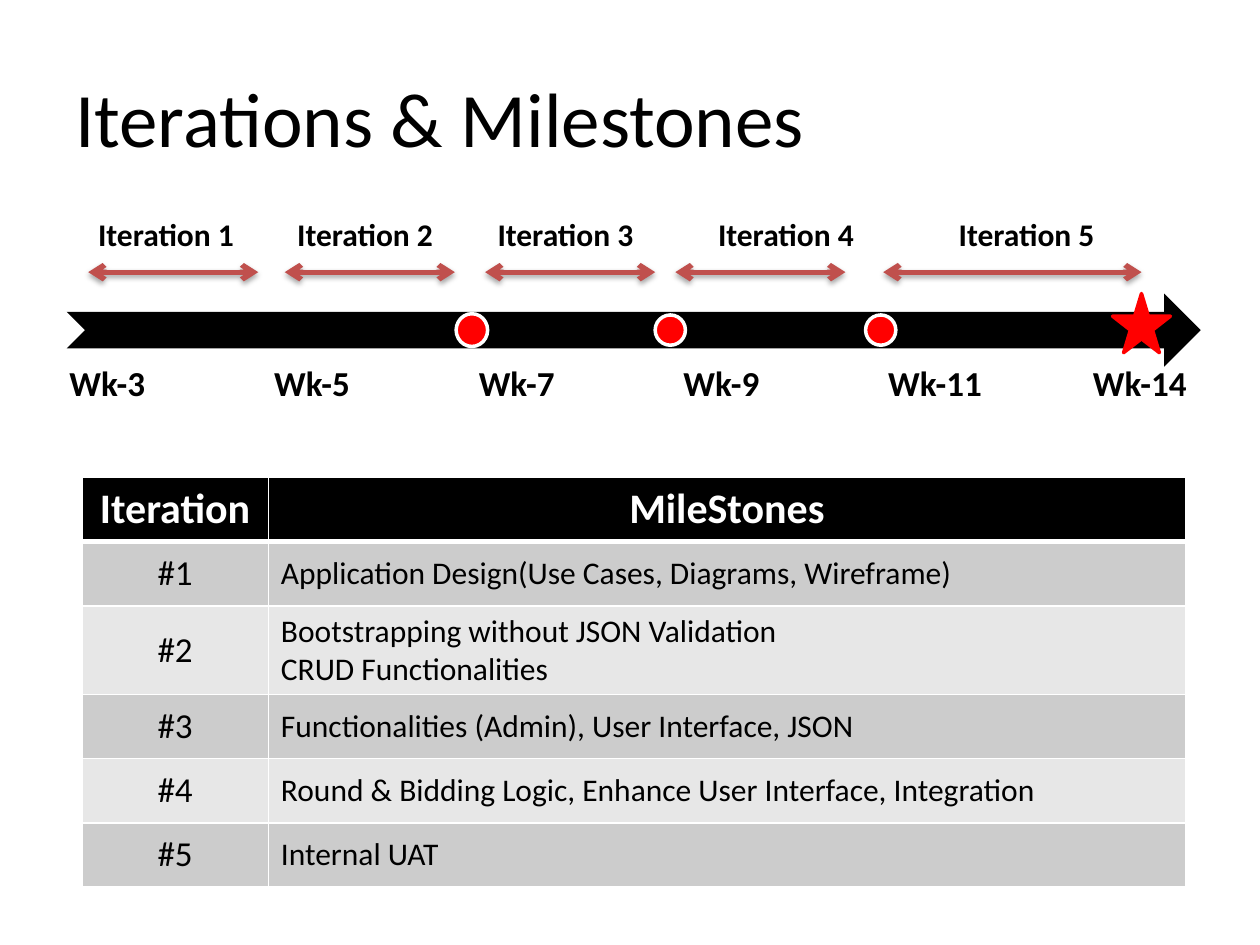
from lxml import etree
from pptx import Presentation
from pptx.dml.color import RGBColor
from pptx.enum.shapes import MSO_CONNECTOR, MSO_SHAPE
from pptx.enum.text import MSO_ANCHOR, MSO_AUTO_SIZE, PP_ALIGN
from pptx.oxml.ns import qn
from pptx.util import Inches, Pt

ARROW = MSO_SHAPE.NOTCHED_RIGHT_ARROW
OVAL = MSO_SHAPE.OVAL
STAR = MSO_SHAPE.STAR_5_POINT
LINE = MSO_CONNECTOR.STRAIGHT
MIDDLE, TOP = MSO_ANCHOR.MIDDLE, MSO_ANCHOR.TOP
LEFT, CENTER = PP_ALIGN.LEFT, PP_ALIGN.CENTER
GROW = MSO_AUTO_SIZE.SHAPE_TO_FIT_TEXT

BLACK = RGBColor(0x00, 0x00, 0x00)
WHITE = RGBColor(0xFF, 0xFF, 0xFF)
RED = RGBColor(0xFF, 0x00, 0x00)
BRICK = RGBColor(0xC0, 0x50, 0x4D)
BANDS = [RGBColor(0xCC, 0xCC, 0xCC), RGBColor(0xE7, 0xE7, 0xE7)]
FONT = "Calibri"

TITLE = "Iterations & Milestones"
SPANS = [
    ("Iteration 1", 0.68, 0.70, 1.35),
    ("Iteration 2", 2.26, 2.26, 1.35),
    ("Iteration 3", 3.85, 3.85, 1.35),
    ("Iteration 4", 5.60, 5.36, 1.35),
    ("Iteration 5", 7.51, 7.01, 2.05),
]
DOTS = [(3.62, 2.49, 0.25, 0.26), (5.2, 2.5, 0.24, 0.24), (6.87, 2.5, 0.24, 0.24)]
WEEKS = ["Wk-3", "Wk-5", "Wk-7", "Wk-9", "Wk-11", "Wk-14"]
HEADS = ["Iteration", "MileStones"]
GOALS = [
    ["Application Design(Use Cases, Diagrams, Wireframe)"],
    ["Bootstrapping without JSON Validation", "CRUD Functionalities"],
    ["Functionalities (Admin), User Interface, JSON"],
    ["Round & Bidding Logic, Enhance User Interface, Integration"],
    ["Internal UAT"],
]
ROW, TALL = 0.51, 0.66

deck = Presentation()
deck.slide_width, deck.slide_height = Inches(10), Inches(7.5)
slide = deck.slides.add_slide(deck.slide_layouts[6])
shapes = slide.shapes


def box(*sides):
    return [Inches(side) for side in sides]


def write(frame, lines, size, color=BLACK, bold=False, align=LEFT):
    for i, line in enumerate(lines):
        para = frame.paragraphs[0] if i == 0 else frame.add_paragraph()
        para.alignment = align
        run = para.add_run()
        run.text = line
        font = run.font
        font.name, font.size, font.bold = FONT, Pt(size), bold
        font.color.rgb = color


def draw(kind, place, fill, edge=None):
    shape = shapes.add_shape(kind, *box(*place))
    shape.shadow.inherit = False
    shape.fill.solid()
    shape.fill.fore_color.rgb = fill
    if edge is None:
        shape.line.fill.background()
    else:
        shape.line.color.rgb = edge
        shape.line.width = Pt(2)


def node(parent, tag, **attrs):
    return etree.SubElement(parent, qn(tag), attrs)


def span(left, width, top):
    line = shapes.add_connector(LINE, *box(left, top, left + width, top))
    line.line.color.rgb = BRICK
    line.line.width = Pt(3)
    ln = line.line._get_or_add_ln()
    node(ln, "a:headEnd", type="arrow")
    node(ln, "a:tailEnd", type="arrow")
    glow = node(line._element.spPr, "a:effectLst")
    shade = node(glow, "a:outerShdw", blurRad=str(Pt(3.1)), dist=str(Pt(1.8)),
                 dir="5400000", rotWithShape="0")
    tone = node(shade, "a:srgbClr", val=str(BLACK))
    node(tone, "a:alpha", val="35000")


def border(cell, widths):
    props = cell._tc.get_or_add_tcPr()
    for side, width in zip("LRTB", widths):
        ln = node(props, f"a:ln{side}", w=str(Pt(width)))
        if width:
            node(node(ln, "a:solidFill"), "a:srgbClr", val=str(WHITE))
        else:
            node(ln, "a:noFill")


def grid(left, top, cols, rows):
    frame = shapes.add_table(len(rows), len(cols),
                             *box(left, top, sum(cols), sum(rows)))
    table = frame.table
    table.first_row = table.horz_banding = False
    for col, width in zip(table.columns, cols):
        col.width = Inches(width)
    for row, height in zip(table.rows, rows):
        row.height = Inches(height)
    return table


def put(cell, lines, size, fill=None, widths=(0, 0, 0, 0), anchor=MIDDLE, **style):
    border(cell, widths)
    if fill is None:
        cell.fill.background()
    else:
        cell.fill.solid()
        cell.fill.fore_color.rgb = fill
    cell.vertical_anchor = anchor
    write(cell.text_frame, lines, size, **style)


title = shapes.add_textbox(*box(0.5, 0.3, 9, 1.25)).text_frame
title.word_wrap = True
title.vertical_anchor = MIDDLE
write(title, [TITLE], 44)

draw(ARROW, (0.53, 2.33, 9, 0.58), BLACK)
for dot in DOTS:
    draw(OVAL, dot, RED, WHITE)

weeks = grid(0.45, 2.83, [9.75 / len(WEEKS)] * len(WEEKS), [0.41])
for cell, week in zip(weeks.iter_cells(), WEEKS):
    put(cell, [week], 20, anchor=TOP, bold=True)

for name, left, start, width in SPANS:
    label = shapes.add_textbox(*box(left, 1.66, 1.29, 0.4)).text_frame
    label.word_wrap = False
    label.auto_size = GROW
    write(label, [name], 18, bold=True)
    span(start, width, 2.16)

heights = [ROW] + [TALL if len(goal) > 1 else ROW for goal in GOALS]
plan = grid(0.65, 3.79, [1.48, 7.28], heights)
for c, head in enumerate(HEADS):
    put(plan.cell(0, c), [head], 24, BLACK, (1, 1, 1, 3),
        color=WHITE, bold=True, align=CENTER)
for r, goal in enumerate(GOALS, 1):
    band = BANDS[(r - 1) % 2]
    edges = (1, 1, 3 if r == 1 else 1, 1)
    put(plan.cell(r, 0), [f"#{r}"], 20, band, edges, align=CENTER)
    put(plan.cell(r, 1), goal, 18, band, edges)

draw(STAR, (8.83, 2.33, 0.46, 0.47), RED, RED)

deck.save("out.pptx")
